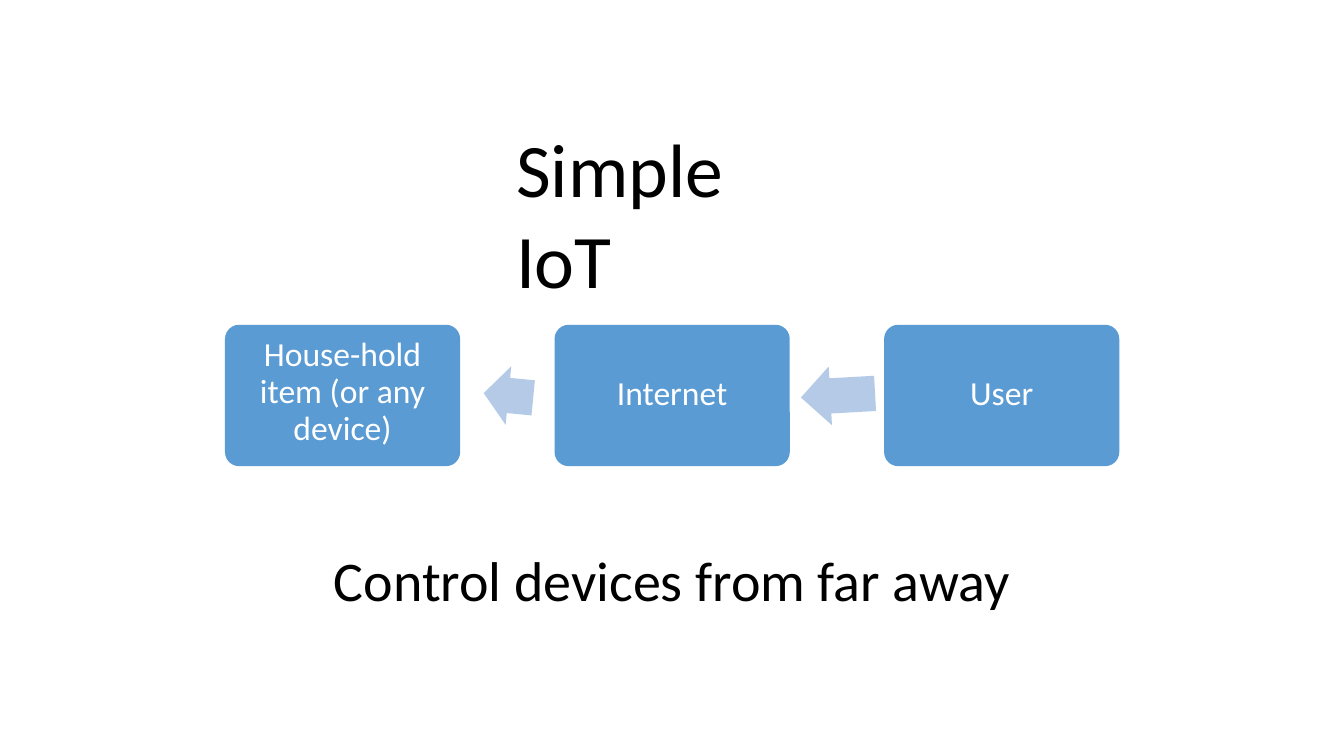
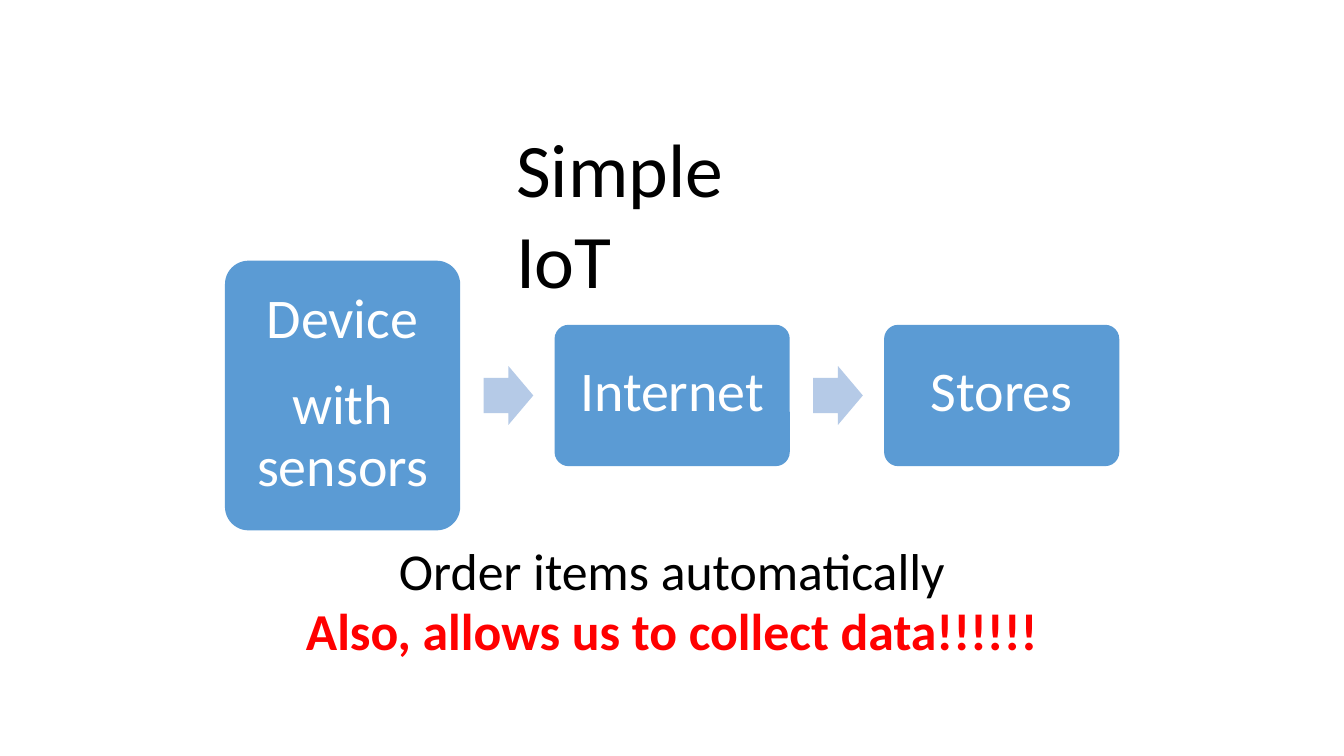
from dataclasses import dataclass
from typing import Any

from pptx import Presentation
from pptx.dml.color import RGBColor
from pptx.enum import shapes as sh, text as tx
from pptx.util import Pt

# Shared look
FONT = "Calibri"
BLACK, WHITE, RED = "000000", "FFFFFF", "FF0000"
BLUE, PALE = "5B9BD4", "B5CAE7"
TITLE = "Simple IoT"

# Row of boxes, in points
LEFT, STEP, MID = 160.7, 235.4, 282.5
WIDE, LOW, TALL = 168, 101, 192.6
SIDE = 9      # side margin of the text in a box
JOIN = 202.5  # from a box's left edge to the centre of the next arrow
HEAD = 42     # arrow height


@dataclass
class Para:
    text: str
    size: float
    color: str = WHITE
    bold: bool = False
    align: Any = tx.PP_ALIGN.CENTER
    lead: Any = 1.0
    before: float = 0


@dataclass
class Box:
    paras: list[Para]
    high: float = LOW
    lift: float = 4.5


@dataclass
class Arrow:
    kind: Any
    wide: float = 35.5
    turn: float = 0


@dataclass
class Page:
    boxes: list[Box]
    arrows: list[Arrow]
    note: list[Para]
    top: float


def tint(code: str) -> RGBColor:
    return RGBColor.from_string(code)


def put(obj: Any, vals: dict[str, Any]) -> None:
    for key, val in vals.items():
        setattr(obj, key, val)


def place(shape: Any, x: float, y: float, w: float, h: float) -> None:
    put(shape, {"left": Pt(x), "top": Pt(y), "width": Pt(w), "height": Pt(h)})


def write(shape: Any, paras: list[Para], anchor: Any,
          side: float = 0, foot: float = 0) -> None:
    frame = shape.text_frame
    put(frame, {"word_wrap": True, "auto_size": tx.MSO_AUTO_SIZE.NONE,
                "vertical_anchor": anchor, "margin_top": 0,
                "margin_left": Pt(side), "margin_right": Pt(side),
                "margin_bottom": Pt(foot)})
    for i, para in enumerate(paras):
        line = frame.add_paragraph() if i else frame.paragraphs[0]
        put(line, {"alignment": para.align, "line_spacing": para.lead,
                   "space_before": Pt(para.before)})
        run = line.add_run()
        run.text = para.text
        put(run.font, {"name": FONT, "size": Pt(para.size), "bold": para.bold})
        run.font.color.rgb = tint(para.color)


def solid(slide: Any, kind: Any, x: float, w: float, h: float,
          fill: str, adjs: list[float]) -> Any:
    """Add a plain filled shape centred on the row."""
    shape = slide.shapes.add_shape(kind, Pt(x), Pt(MID - h / 2), Pt(w), Pt(h))
    shape.shadow.inherit = False
    shape.fill.solid()
    shape.fill.fore_color.rgb = tint(fill)
    shape.line.fill.background()
    for i, adj in enumerate(adjs):
        shape.adjustments[i] = adj
    return shape


def draw(deck: Any, page: Page) -> None:
    slide = deck.slides.add_slide(deck.slide_layouts[5])
    # Title
    title = slide.shapes.title
    place(title, 368.6, 87.2, 222, 67)
    write(title, [Para(TITLE, 54, BLACK, align=tx.PP_ALIGN.LEFT)],
          tx.MSO_ANCHOR.TOP)
    # Boxes
    for i, box in enumerate(page.boxes):
        shape = solid(slide, sh.MSO_SHAPE.ROUNDED_RECTANGLE, LEFT + i * STEP,
                      WIDE, box.high, BLUE, [0.1])
        write(shape, box.paras, tx.MSO_ANCHOR.MIDDLE, SIDE, 2 * box.lift)
    # Arrows between boxes
    for i, arrow in enumerate(page.arrows):
        x = LEFT + i * STEP + JOIN - arrow.wide / 2
        shape = solid(slide, arrow.kind, x, arrow.wide, HEAD, PALE, [0.6, 0.5])
        shape.rotation = arrow.turn
    # Note below
    note = slide.shapes.add_textbox(Pt(210), Pt(page.top), Pt(540), Pt(88))
    write(note, page.note, tx.MSO_ANCHOR.TOP)


BACK, NEXT = sh.MSO_SHAPE.LEFT_ARROW, sh.MSO_SHAPE.RIGHT_ARROW
PAGES = [
    Page([Box([Para("House-hold item (or any device)", 24, lead=0.92)], lift=2),
          Box([Para("Internet", 24)], lift=2.5),
          Box([Para("User", 24)], lift=2.5)],
         [Arrow(BACK, turn=5.5), Arrow(BACK, 53, -3.2)],
         [Para("Control devices from far away", 40, BLACK)], 389.6),
    Page([Box([Para("Device", 40),
               Para("with sensors", 40, lead=Pt(43.9), before=17.7)], TALL, 4),
          Box([Para("Internet", 40)]),
          Box([Para("Stores", 40)])],
         [Arrow(NEXT), Arrow(NEXT)],
         [Para("Order items automatically", 37, BLACK, lead=Pt(42.9)),
          Para("Also, allows us to collect data!!!!!!", 37, RED, True,
               lead=Pt(42.9))], 386),
]


def main() -> None:
    deck = Presentation()
    put(deck, {"slide_width": Pt(960), "slide_height": Pt(540)})
    for page in PAGES:
        draw(deck, page)
    deck.save("out.pptx")


if __name__ == "__main__":
    main()
